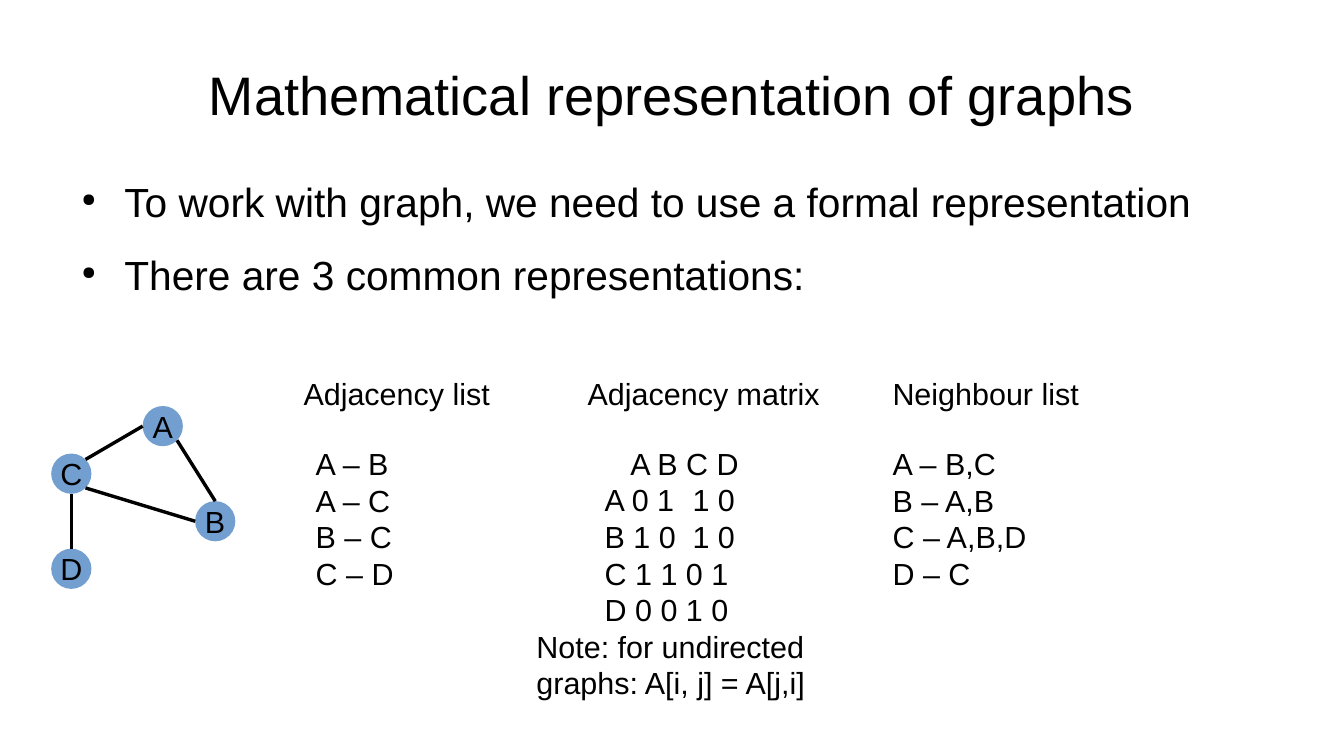
"""Build the slide on mathematical representations of graphs."""
import math

import pptx
import pptx.dml.color
import pptx.enum.shapes
import pptx.enum.text
import pptx.oxml.ns
import pptx.util
from lxml import etree

Inches = pptx.util.Inches
Pt = pptx.util.Pt
Anchor = pptx.enum.text.MSO_ANCHOR
Align = pptx.enum.text.PP_ALIGN
qn = pptx.oxml.ns.qn
BLACK = pptx.dml.color.RGBColor(0x00, 0x00, 0x00)
BLUE = pptx.dml.color.RGBColor(0x72, 0x9F, 0xCF)
SIZE = 0.33


class Deck:
    def __init__(self):
        self.font = "Arial"
        self.prs = pptx.Presentation()
        self.prs.slide_width = Inches(11.02)
        self.prs.slide_height = Inches(6.2)
        self.slide = self.prs.slides.add_slide(self.prs.slide_layouts[5])

    def put(self, para, text, size):
        run = para.add_run()
        run.text = text
        run.font.name = self.font
        run.font.size = Pt(size)
        run.font.color.rgb = BLACK

    def inset(self, frame, side, edge):
        frame.margin_left = frame.margin_right = Inches(side)
        frame.margin_top = frame.margin_bottom = Inches(edge)

    def title(self, text):
        shape = self.slide.shapes.title
        shape.left, shape.top = Inches(0.55), Inches(0.25)
        shape.width, shape.height = Inches(9.92), Inches(1.04)
        frame = shape.text_frame
        self.inset(frame, 0, 0)
        frame.vertical_anchor = Anchor.MIDDLE
        para = frame.paragraphs[0]
        para.alignment = Align.CENTER
        self.put(para, text, 32)

    def text(self, left, top, width, height, lines, size=18, side=0.1, edge=0.05):
        box = self.slide.shapes.add_textbox(
            Inches(left), Inches(top), Inches(width), Inches(height))
        frame = box.text_frame
        frame.word_wrap = True
        self.inset(frame, side, edge)
        for i, line in enumerate(lines):
            para = frame.add_paragraph() if i else frame.paragraphs[0]
            self.put(para, line, size)
        return frame.paragraphs

    def bullets(self, left, top, width, height, lines):
        paras = self.text(left, top, width, height, lines, 24, 0, 0)
        for i, para in enumerate(paras):
            if i:
                para.space_before = Pt(14.2)
            props = para._p.get_or_add_pPr()
            props.set("marL", str(Inches(0.47)))
            props.set("indent", str(Inches(-0.35)))
            etree.SubElement(props, qn("a:buSzPct")).set("val", "45000")
            etree.SubElement(props, qn("a:buChar")).set("char", "●")

    def matrix(self, left, top, width, height, head, rows):
        paras = self.text(left, top, width, height, [head, *rows])
        paras[0]._p.get_or_add_pPr().set("marL", str(Inches(0.21)))
        for para in paras[1:]:
            tabs = etree.SubElement(para._p.get_or_add_pPr(), qn("a:tabLst"))
            tab = etree.SubElement(tabs, qn("a:tab"))
            tab.set("pos", str(Inches(0.72)))
            tab.set("algn", "l")

    def node(self, name, left, top):
        shape = self.slide.shapes.add_shape(
            pptx.enum.shapes.MSO_SHAPE.OVAL,
            Inches(left), Inches(top), Inches(SIZE), Inches(SIZE))
        shape.shadow.inherit = False
        shape.fill.solid()
        shape.fill.fore_color.rgb = BLUE
        shape.line.fill.background()
        frame = shape.text_frame
        frame.word_wrap = False
        frame.vertical_anchor = Anchor.MIDDLE
        self.inset(frame, 0.1, 0.05)
        frame.paragraphs[0].alignment = Align.CENTER
        self.put(frame.paragraphs[0], name, 18)

    def edge(self, start, end):
        line = self.slide.shapes.add_connector(
            pptx.enum.shapes.MSO_CONNECTOR.STRAIGHT,
            *map(Inches, start), *map(Inches, end))
        line.line.color.rgb = BLACK
        line.line.width = Pt(0)
        etree.SubElement(line._element.spPr, qn("a:effectLst"))


def rim(spot, angle):
    turn = math.radians(angle)
    half = SIZE / 2
    return (spot[0] + half + half * math.cos(turn),
            spot[1] + half - half * math.sin(turn))


def main():
    deck = Deck()
    deck.title("Mathematical representation of graphs")
    deck.bullets(0.55, 1.45, 9.92, 3.6, [
        "To work with graph, we need to use a formal representation",
        "There are 3 common representations:",
    ])
    for left, width, head in (
        (2.39, 1.99, "Adjacency list"),
        (7.22, 1.76, "Neighbour list"),
        (4.72, 2.41, "Adjacency matrix"),
    ):
        deck.text(left, 3.03, width, 0.66, [head])

    nodes = {"C": (0.42, 3.72), "D": (0.42, 4.5), "B": (1.6, 4.11), "A": (1.17, 3.33)}
    for name, spot in nodes.items():
        deck.node(name, *spot)
    for first, out, last, into in (
        ("C", 45, "A", 180),
        ("C", -45, "B", 180),
        ("A", -45, "B", 90),
        ("C", -90, "D", 90),
    ):
        deck.edge(rim(nodes[first], out), rim(nodes[last], into))

    deck.text(2.49, 3.6, 1.79, 1.22, ["A – B", "A – C", "B – C", "C – D"])
    deck.matrix(4.86, 3.6, 1.79, 1.5, "A B C D", [
        "A 0 1\t1 0", "B 1 0\t1 0", "C 1 1 0 1", "D 0 0 1 0"])
    deck.text(7.22, 3.6, 1.79, 1.22, ["A – B,C", "B – A,B", "C – A,B,D", "D – C"])
    deck.text(4.3, 5.1, 2.55, 0.66, ["Note: for undirected graphs: A[i, j] = A[j,i]"])
    deck.prs.save("out.pptx")


if __name__ == "__main__":
    main()
